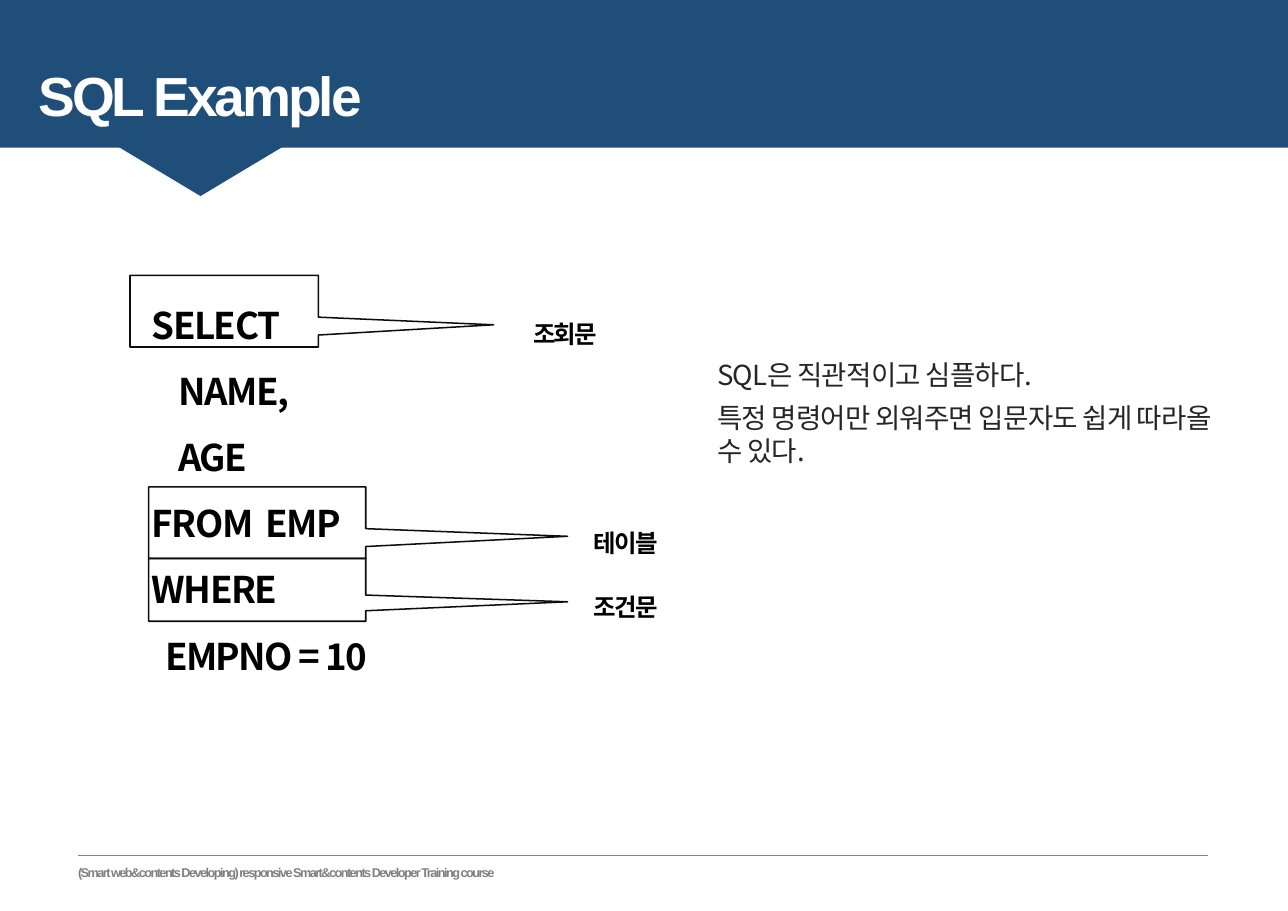
"""Build the SQL Example slide with callouts around the parts of a query."""
from dataclasses import dataclass

from lxml.etree import SubElement
from pptx import Presentation
from pptx.dml.color import RGBColor
from pptx.enum.shapes import MSO_CONNECTOR, MSO_SHAPE
from pptx.enum.text import MSO_ANCHOR, PP_ALIGN
from pptx.oxml.ns import qn
from pptx.shapes.autoshape import Shape
from pptx.slide import Slide
from pptx.util import Emu, Pt

EMU_PER_PX = 9144
COLORS = {
    "navy": "1F4E79",
    "white": "FFFFFF",
    "gray": "808080",
    "outline": "0D0D0D",
    "black": "000000",
    "body": "262626",
}
KOREAN_FONT = "Noto Sans CJK KR"


@dataclass(frozen=True)
class Box:
    left: int
    top: int
    width: int
    height: int


@dataclass(frozen=True)
class TextStyle:
    size: float
    color: str
    font: str = KOREAN_FONT
    bold: bool = True
    tracking: float = -1
    line_spacing: float = 1.0
    space_before: int = 0
    align: PP_ALIGN = PP_ALIGN.LEFT
    anchor: MSO_ANCHOR = MSO_ANCHOR.TOP
    inset: tuple[int, int] = (10, 5)
    wrap: bool = True


@dataclass(frozen=True)
class TextBlock:
    box: Box
    lines: tuple[str, ...]
    style: TextStyle
    indents: tuple[int, ...] = ()


TITLE = TextStyle(36, "white", font="Arial", tracking=-2)
FOOTER = TextStyle(8.3, "gray", font="Arial", line_spacing=0.8, anchor=MSO_ANCHOR.MIDDLE)
QUERY = TextStyle(24, "black", line_spacing=1.5, align=PP_ALIGN.JUSTIFY)
LABEL = TextStyle(16, "black", line_spacing=1.5, align=PP_ALIGN.JUSTIFY, wrap=False)
BODY = TextStyle(18, "body", bold=False, tracking=-0.5, space_before=6,
                 anchor=MSO_ANCHOR.MIDDLE, inset=(4, 4))

CALLOUTS = (
    Box(118, 250, 171, 65),
    Box(135, 442, 197, 65),
    Box(135, 507, 197, 57),
)
TEXT_BLOCKS = (
    TextBlock(Box(25, 51, 520, 71), ("SQL Example",), TITLE),
    TextBlock(
        Box(61, 777, 418, 33),
        ("(Smart web&contents Developing) responsive Smart&contents Developer Training course",),
        FOOTER,
    ),
    TextBlock(
        Box(128, 250, 336, 367),
        ("SELECT", "NAME,", "AGE", "FROM  EMP", "WHERE", "EMPNO = 10"),
        QUERY,
        indents=(0, 24, 24, 0, 0, 12),
    ),
    TextBlock(Box(474, 271, 79, 46), ("조회문",), LABEL),
    TextBlock(Box(529, 461, 79, 46), ("테이블",), LABEL),
    TextBlock(Box(529, 519, 79, 46), ("조건문",), LABEL),
    TextBlock(
        Box(647, 321, 463, 107),
        ("SQL은 직관적이고 심플하다.", "특정 명령어만 외워주면 입문자도 쉽게 따라올 수 있다."),
        BODY,
    ),
)


def px(length: int) -> Emu:
    return Emu(length * EMU_PER_PX)


def rgb(name: str) -> RGBColor:
    return RGBColor.from_string(COLORS[name])


def place(box: Box) -> tuple[Emu, Emu, Emu, Emu]:
    return px(box.left), px(box.top), px(box.width), px(box.height)


def add_filled(slide: Slide, kind: MSO_SHAPE, box: Box, color: str) -> Shape:
    shape = slide.shapes.add_shape(kind, *place(box))
    shape.shadow.inherit = False
    shape.fill.solid()
    shape.fill.fore_color.rgb = rgb(color)
    shape.line.fill.background()
    return shape


def add_callout(slide: Slide, box: Box) -> None:
    shape = slide.shapes.add_shape(MSO_SHAPE.RECTANGULAR_CALLOUT, *place(box))
    shape.shadow.inherit = False
    shape.fill.background()
    shape.line.color.rgb = rgb("outline")
    shape.line.width = Pt(1)
    shape.adjustments[0] = 1.43
    shape.adjustments[1] = 0.19


def add_footer_rule(slide: Slide) -> None:
    rule = slide.shapes.add_connector(
        MSO_CONNECTOR.STRAIGHT, px(71), px(777), px(1096), px(777))
    rule.line.color.rgb = rgb("gray")
    rule.line.width = Pt(0.5)
    SubElement(rule._element.spPr, qn("a:effectLst"))


def add_text(slide: Slide, block: TextBlock) -> None:
    style = block.style
    text_frame = slide.shapes.add_textbox(*place(block.box)).text_frame
    text_frame.word_wrap = style.wrap
    text_frame.vertical_anchor = style.anchor
    text_frame.margin_left = text_frame.margin_right = px(style.inset[0])
    text_frame.margin_top = text_frame.margin_bottom = px(style.inset[1])
    text_frame.text = "\n".join(block.lines)
    for paragraph in text_frame.paragraphs:
        paragraph.alignment = style.align
        paragraph.line_spacing = style.line_spacing
        paragraph.space_before = Pt(style.space_before)
        for run in paragraph.runs:
            run.font.size = Pt(style.size)
            run.font.bold = style.bold
            run.font.color.rgb = rgb(style.color)
            run.font.name = style.font
            properties = run._r.get_or_add_rPr()
            properties.set("spc", str(round(style.tracking * 100)))
            SubElement(properties, qn("a:ea"), typeface=style.font)
    for paragraph, indent in zip(text_frame.paragraphs, block.indents):
        paragraph._p.get_or_add_pPr().set("marL", str(px(indent)))


def main() -> None:
    presentation = Presentation()
    presentation.slide_width = px(1169)
    presentation.slide_height = px(827)
    slide = presentation.slides.add_slide(presentation.slide_layouts[6])
    pointer = add_filled(slide, MSO_SHAPE.ISOSCELES_TRIANGLE, Box(52, 100, 260, 78), "navy")
    pointer.rotation = 180
    add_filled(slide, MSO_SHAPE.RECTANGLE, Box(0, 0, 1169, 134), "navy")
    add_footer_rule(slide)
    for box in CALLOUTS:
        add_callout(slide, box)
    for block in TEXT_BLOCKS:
        add_text(slide, block)
    presentation.save("out.pptx")


if __name__ == "__main__":
    main()
